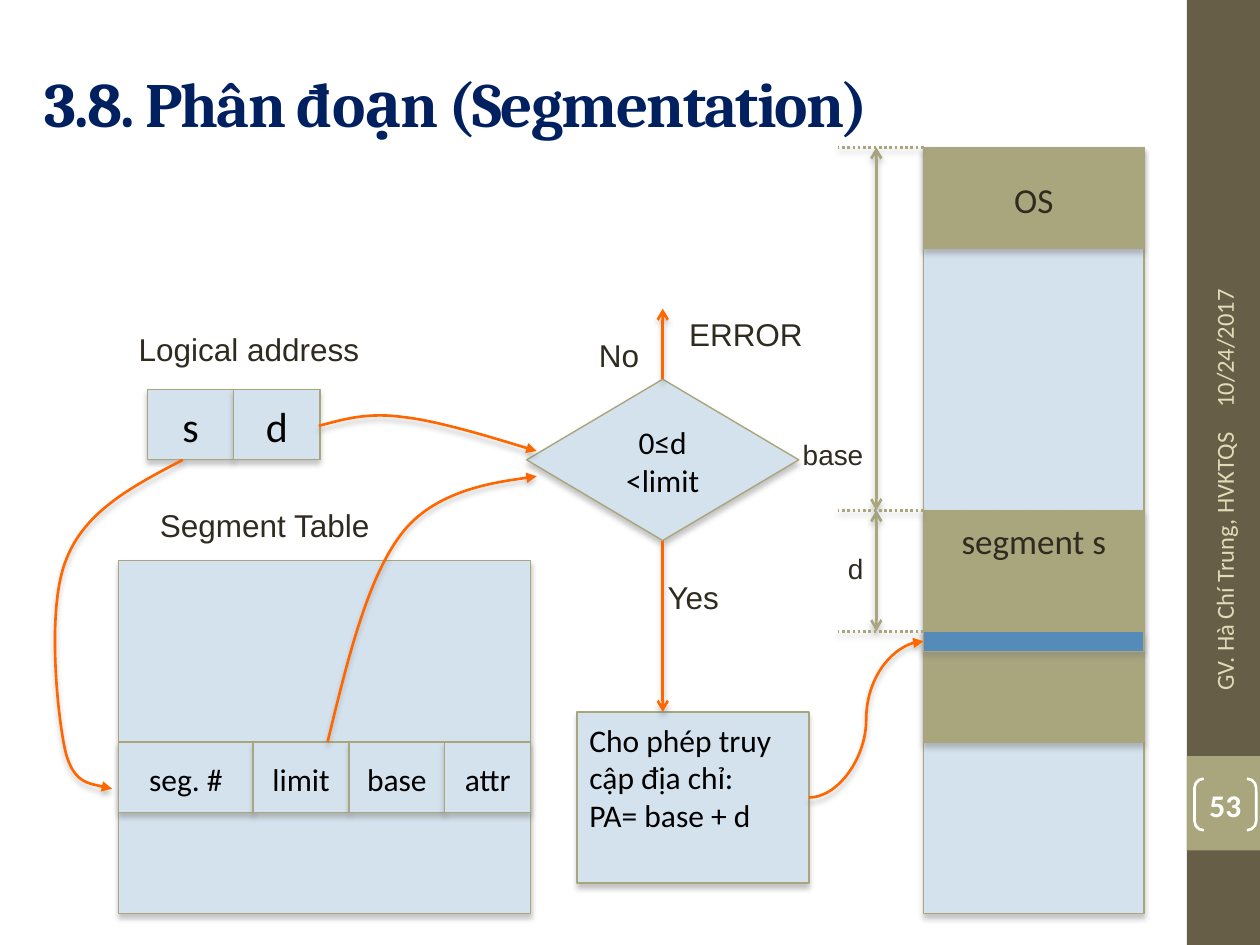
from itertools import accumulate

from lxml import etree
from pptx import Presentation
from pptx.dml.color import RGBColor
from pptx.enum.dml import MSO_LINE
from pptx.enum.shapes import MSO_CONNECTOR as LINK, MSO_SHAPE as SHAPE
from pptx.enum.text import MSO_ANCHOR as ANCHOR, MSO_AUTO_SIZE, PP_ALIGN as ALIGN
from pptx.oxml.ns import qn
from pptx.util import Inches, Pt

COLUMNS, ROWS = 100, 75
NAVY, INK, BLACK, WHITE = "002060", "2F2B20", "000000", "FFFFFF"
OLIVE, BROWN, CREAM = "A9A57C", "675E47", "DFDCB7"
PALE, BLUE, ORANGE = "D4E2ED", "558BB8", "FF6600"


def rgb(value):
    return RGBColor.from_string(value)


class SegmentationSlide:
    """Diagram style; all lengths are columns and rows of a 100 x 75 grid."""

    def __init__(self, deck):
        self.slide = deck.slides.add_slide(deck.slide_layouts[5])
        self.shapes = self.slide.shapes
        self.column = deck.slide_width / COLUMNS
        self.row = deck.slide_height / ROWS

    def point(self, x, y):
        return round(x * self.column), round(y * self.row)

    def area(self, left, top, width, height):
        return *self.point(left, top), *self.point(width, height)

    def set_text(self, frame, text, size, color, font="Calibri", align=ALIGN.CENTER,
                 anchor=ANCHOR.MIDDLE, bold=False):
        frame.word_wrap = True
        frame.vertical_anchor = anchor
        frame.text = text
        for paragraph in frame.paragraphs:
            paragraph.alignment = align
            paragraph.font.name = font
            paragraph.font.size = Pt(size)
            paragraph.font.bold = bold
            paragraph.font.color.rgb = rgb(color)

    def shadow(self, item):
        effects = etree.SubElement(item._element.spPr, qn("a:effectLst"))
        outer = etree.SubElement(effects, qn("a:outerShdw"), blurRad="38100",
                                 dist="30480", dir="5400000", rotWithShape="0")
        tint = etree.SubElement(outer, qn("a:srgbClr"), val="808080")
        etree.SubElement(tint, qn("a:alpha"), val="45000")

    def stroke(self, item, color, head=None, tail=None, dash=None):
        item.line.color.rgb = rgb(color)
        item.line.width = Pt(1.5)
        if dash:
            item.line.dash_style = dash
        outline = item._element.spPr.find(qn("a:ln"))
        for tag, kind in (("a:headEnd", head), ("a:tailEnd", tail)):
            if kind:
                etree.SubElement(outline, qn(tag), type=kind)
        self.shadow(item)

    def title(self, text, *area):
        title = self.shapes.title
        title.left, title.top, title.width, title.height = self.area(*area)
        self.set_text(title.text_frame, text, 36, NAVY, "Cambria", ALIGN.LEFT, bold=True)
        title.text_frame.auto_size = MSO_AUTO_SIZE.NONE
        title.text_frame.paragraphs[0].runs[0].font._element.set("spc", "-100")

    def band(self, color, *area):
        band = self.shapes.add_shape(SHAPE.RECTANGLE, *self.area(*area))
        band.shadow.inherit = False
        band.fill.solid()
        band.fill.fore_color.rgb = rgb(color)
        band.line.fill.background()

    def page_number(self, text, *area):
        number = self.shapes.add_shape(SHAPE.DOUBLE_BRACKET, *self.area(*area))
        number.shadow.inherit = False
        number.adjustments[0] = 0.18
        number.fill.background()
        number.line.color.rgb = rgb(WHITE)
        number.line.width = Pt(1.5)
        frame = number.text_frame
        frame.margin_left = frame.margin_right = frame.margin_top = frame.margin_bottom = 0
        self.set_text(frame, text, 18, WHITE, bold=True)

    def block(self, area, text="", size=18, fill=PALE, kind=SHAPE.RECTANGLE,
              color=BLACK, **text_style):
        block = self.shapes.add_shape(kind, *self.area(*area))
        block.fill.solid()
        block.fill.fore_color.rgb = rgb(fill)
        block.line.color.rgb = rgb(OLIVE)
        block.line.width = Pt(0.79)
        self.shadow(block)
        if text:
            block.text_frame.margin_top = Inches(0.07)
            self.set_text(block.text_frame, text, size, color, **text_style)
        return block

    def cells(self, left, top, widths, height, names, size):
        lefts = accumulate(widths, initial=left)
        for x, width, name in zip(lefts, widths, names):
            self.block((x, top, width, height), name, size)

    def label(self, text, area, size=18, color=INK, font="Arial", align=ALIGN.LEFT,
              anchor=ANCHOR.TOP, rotation=0):
        label = self.shapes.add_textbox(*self.area(*area))
        label.rotation = rotation
        self.set_text(label.text_frame, text, size, color, font, align, anchor)

    def link(self, start, end, color=ORANGE, kind=LINK.STRAIGHT, begin=None,
             finish=None, **ends):
        link = self.shapes.add_connector(kind, *self.point(*start), *self.point(*end))
        if begin:
            link.begin_connect(*begin)
        if finish:
            link.end_connect(*finish)
        self.stroke(link, color, **ends)

    def curve(self, start, *controls):
        """Cubic curve: every three control points make one segment."""
        builder = self.shapes.build_freeform(*self.point(*start))
        builder.add_line_segments([self.point(*c) for c in controls], close=False)
        curve = builder.convert_to_shape()
        steps = list(curve._element.iter(qn("a:lnTo")))
        for first in range(0, len(steps), 3):
            parent = steps[first].getparent()
            bend = etree.SubElement(parent, qn("a:cubicBezTo"))
            for step in steps[first:first + 3]:
                bend.append(step[0])
                parent.remove(step)
        curve.fill.background()
        self.stroke(curve, ORANGE, tail="triangle")


def main():
    deck = Presentation()
    deck.slide_width, deck.slide_height = Inches(10), Inches(7.5)
    page = SegmentationSlide(deck)

    # Side bar, title and footer
    page.band(BROWN, 94.2, 0, 5.8, ROWS)
    page.band(OLIVE, 94.2, 60, 5.8, 7.5)
    page.title("3.8. Phân đoạn (Segmentation)", 2.5, 3, 89.2, 10.3)
    footer = dict(size=14, color=CREAM, font="Calibri", anchor=ANCHOR.MIDDLE, rotation=270)
    page.label("10/24/2017", (83.8, 18, 26.7, 4), **footer)
    page.label("GV. Hà Chí Trung, HVKTQS", (84.2, 44.3, 25.9, 4), align=ALIGN.RIGHT, **footer)
    page.page_number("53", 94.8, 61.8, 4.9, 4.1)

    # Logical address and segment table
    page.block((9.4, 44.5, 32.7, 28))
    page.cells(11.7, 30.9, (6.85, 6.85), 5.6, "sd", 24)
    page.cells(9.4, 58.9, (10.7, 7.6, 7.6, 6.8), 5.6, ("seg. #", "limit", "base", "attr"), 18)
    page.label("Logical address", (7.2, 25.7, 25.1, 3.9), align=ALIGN.CENTER)
    page.label("Segment Table", (11.7, 39.7, 31.9, 3.9))

    # Limit check and resulting physical address
    check = page.block((41.8, 30.1, 21.6, 12.8), "0≤d\n<limit", kind=SHAPE.FLOWCHART_DECISION)
    access = page.block((45.8, 56.5, 18.4, 13.6), "Cho phép truy cập địa chỉ:\nPA= base + d",
                        align=ALIGN.LEFT, anchor=ANCHOR.TOP)

    # Physical memory
    memory, width = 73.3, 17.5
    top, base, offset = 11.7, 40.5, 50.1
    page.block((memory, top, width, 60.8))
    page.block((memory, top, width, 8), "OS", 20, OLIVE, color=INK)
    page.block((memory, base, width, 18.4), "segment s", 20, OLIVE, color=INK, anchor=ANCHOR.TOP)
    target = page.block((memory, offset, width, 1.6), fill=BLUE)

    # Dimension lines for base and d
    for upper, lower in ((top, base), (base, offset)):
        page.link((69.55, upper), (69.55, lower), OLIVE, head="arrow", tail="arrow")
    for level in (base, top, offset):
        page.link((memory, level), (66.5, level), OLIVE, dash=MSO_LINE.ROUND_DOT)
    for name, level in (("base", 34.2), ("d", 43.3)):
        page.label(name, (61.9, level, 7.6, 3.6), 16, align=ALIGN.RIGHT)

    # Flow from the address and the table to the check
    page.curve((26, 58.9), (27.6, 52.3), (29.2, 45.7), (32, 42.2),
               (34.8, 38.7), (42.6, 37.8), (42.6, 37.8))
    page.curve((25.3, 33.8), (27.2, 33.3), (29.1, 32.7), (32, 33.1),
               (34.9, 33.4), (42.6, 35.8), (42.6, 35.8))
    page.curve((14.5, 36.5), (10.7, 38.5), (6.8, 40.5), (5.3, 44.3), (3.7, 48),
               (4.5, 56.2), (5.1, 59.2), (5.7, 62.3), (8.9, 62.6), (8.9, 62.6))

    # Outcomes of the check
    page.link((52.6, 42.9), (52.6, 56.5), begin=(check, 2), tail="arrow")
    page.link((52.6, 30.1), (52.6, 24.5), begin=(check, 0), tail="arrow")
    page.link((64.2, 63.3), (memory, 50.9), kind=LINK.CURVE, begin=(access, 3),
              finish=(target, 1), tail="triangle")
    page.label("No", (41.8, 26.2, 9.9, 3.9), align=ALIGN.RIGHT)
    page.label("Yes", (52, 45.4, 9.9, 3.9))
    page.label("ERROR", (53.7, 24.5, 12.2, 3.9))

    deck.save("out.pptx")


if __name__ == "__main__":
    main()
